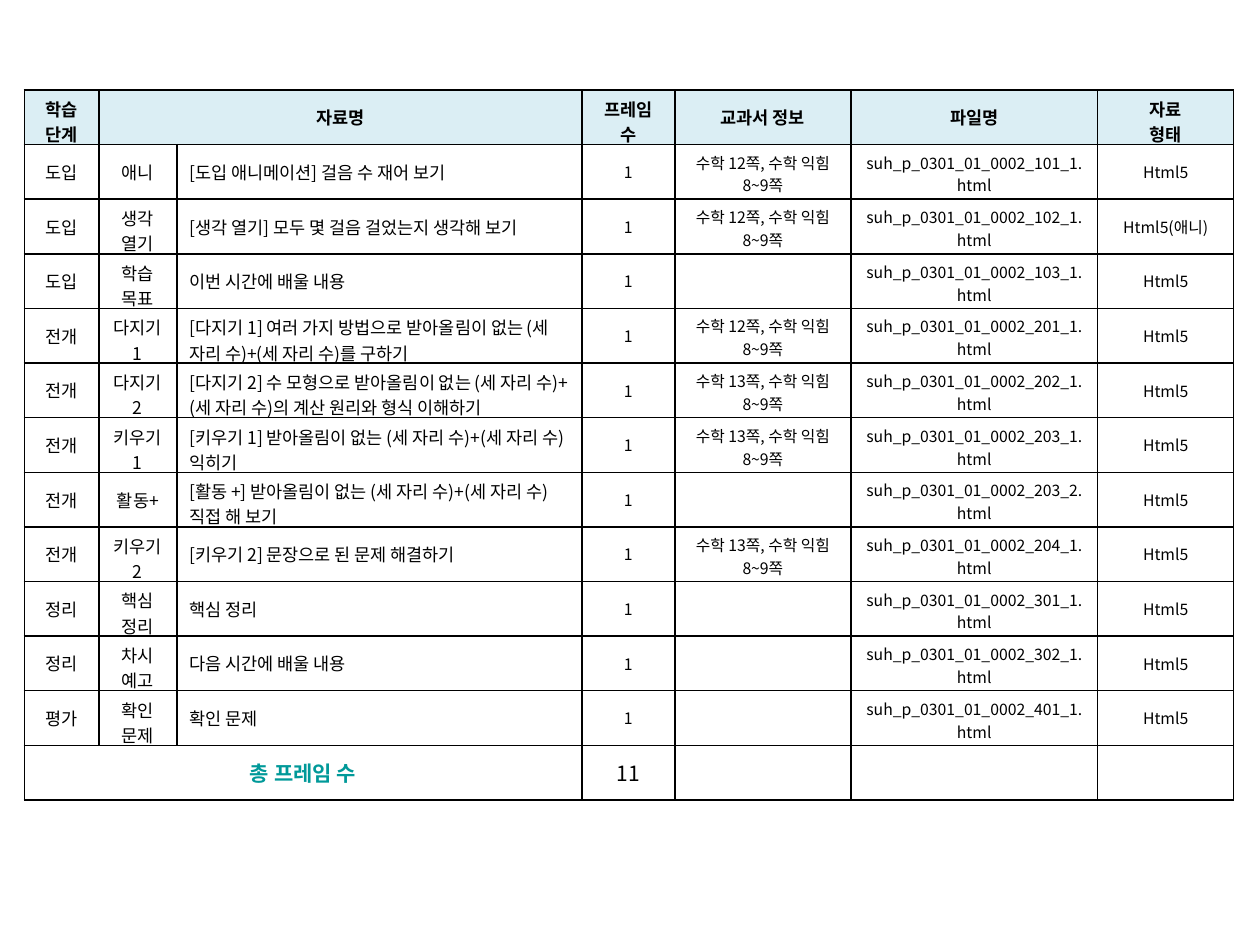
from lxml import etree
from pptx import Presentation
from pptx.dml.color import RGBColor
from pptx.enum.text import MSO_ANCHOR, PP_ALIGN
from pptx.oxml.ns import qn
from pptx.util import Pt

LEFT, CENTER = PP_ALIGN.LEFT, PP_ALIGN.CENTER
TOP, MIDDLE = MSO_ANCHOR.TOP, MSO_ANCHOR.MIDDLE
FONT = "Noto Sans CJK KR"
COLORS = {"ink": "000000", "header": "DBEEF4", "total": "009999"}

COLUMN_WIDTHS = [42.6, 44.6, 231.4, 53.2, 100.6, 141, 77.8]
COLUMN_SIZES = [10, 10, 10, 9, 9, 9, 9]
# Longest text that stays on one line in each column
LINE_LIMITS = [3, 3, 32, 4, 10, 10, 10]
ROW_HEIGHT = 31.23
NAME_COLUMN = 2

HEADERS = ["학습 단계", "자료명", "", "프레임 수", "교과서 정보", "파일명", "자료\n형태"]
# Stage, activity, material name, textbook page, file number, format
MATERIALS = [
    ("도입", "애니", "[도입 애니메이션] 걸음 수 재어 보기", 12, "101_1", "Html5"),
    ("도입", "생각 열기", "[생각 열기] 모두 몇 걸음 걸었는지 생각해 보기", 12, "102_1", "Html5(애니)"),
    ("도입", "학습 목표", "이번 시간에 배울 내용", None, "103_1", "Html5"),
    ("전개", "다지기 1", "[다지기 1] 여러 가지 방법으로 받아올림이 없는 (세 자리 수)+(세 자리 수)를 구하기",
     12, "201_1", "Html5"),
    ("전개", "다지기 2", "[다지기 2] 수 모형으로 받아올림이 없는 (세 자리 수)+(세 자리 수)의 계산 원리와 형식 이해하기",
     13, "202_1", "Html5"),
    ("전개", "키우기1", "[키우기 1] 받아올림이 없는 (세 자리 수)+(세 자리 수) 익히기", 13, "203_1", "Html5"),
    ("전개", "활동+", "[활동 +] 받아올림이 없는 (세 자리 수)+(세 자리 수) 직접 해 보기", None, "203_2", "Html5"),
    ("전개", "키우기2", "[키우기 2] 문장으로 된 문제 해결하기", 13, "204_1", "Html5"),
    ("정리", "핵심 정리", "핵심 정리", None, "301_1", "Html5"),
    ("정리", "차시 예고", "다음 시간에 배울 내용", None, "302_1", "Html5"),
    ("평가", "확인 문제", "확인 문제", None, "401_1", "Html5"),
]


def write_text(frame, text, size=10, color="ink", bold=False, align=CENTER):
    for index, line in enumerate(text.split("\n")):
        para = frame.add_paragraph() if index else frame.paragraphs[0]
        para.alignment = align
        span = para.add_run()
        span.text = line
        span.font.size = Pt(size)
        span.font.bold = bold
        span.font.name = FONT
        span.font.color.rgb = RGBColor.from_string(COLORS[color])
        properties = span.font._element
        properties.set("kern", "0")
        etree.SubElement(properties, qn("a:ea")).set("typeface", FONT)


class SlideBuilder:
    def __init__(self, slide):
        self.slide = slide

    def table(self, left, top, widths, row_count, row_height):
        shape = self.slide.shapes.add_table(
            row_count, len(widths), Pt(left), Pt(top),
            Pt(sum(widths)), Pt(row_count * row_height))
        table = shape.table
        table.first_row = table.horz_banding = False
        for column, width in zip(table.columns, widths):
            column.width = Pt(width)
        for row in table.rows:
            row.height = Pt(row_height)
        return table

    def cell(self, cell, text, fill=None, two_lines=False, **style):
        # Two lines hang from the top inset and may run past the bottom one
        cell.vertical_anchor = TOP if two_lines else MIDDLE
        cell.margin_top = Pt(3.6)
        cell.margin_bottom = Pt(-2 if two_lines else 3.6)
        write_text(cell.text_frame, text, **style)
        self.borders(cell)
        if fill:
            cell.fill.solid()
            cell.fill.fore_color.rgb = RGBColor.from_string(COLORS[fill])
        else:
            cell.fill.background()

    def borders(self, cell, width=1):
        properties = cell._tc.get_or_add_tcPr()
        for side in ("a:lnL", "a:lnR", "a:lnT", "a:lnB"):
            line = etree.SubElement(properties, qn(side), w=str(Pt(width)))
            solid = etree.SubElement(line, qn("a:solidFill"))
            etree.SubElement(solid, qn("a:srgbClr"), val=COLORS["ink"])


def is_two_lines(text, column):
    return "\n" in text or len(text) > LINE_LIMITS[column]


def main():
    deck = Presentation()
    deck.slide_width, deck.slide_height = Pt(720), Pt(540)
    page = SlideBuilder(deck.slides.add_slide(deck.slide_layouts[6]))
    table = page.table(13.9, 51.4, COLUMN_WIDTHS, len(MATERIALS) + 2, ROW_HEIGHT)
    last = len(MATERIALS) + 1

    # Header row
    for column, label in enumerate(HEADERS):
        page.cell(table.cell(0, column), label, fill="header", bold=True,
                  two_lines=is_two_lines(label, column))
    table.cell(0, 1).merge(table.cell(0, NAME_COLUMN))

    # One row per material
    for row, (stage, activity, name, textbook, number, kind) in enumerate(MATERIALS, 1):
        pages = f"수학 {textbook}쪽, 수학 익힘 8~9쪽" if textbook else ""
        file_name = f"suh_p_0301_01_0002_{number}.html"
        values = [stage, activity, name, "1", pages, file_name, kind]
        for column, (value, size) in enumerate(zip(values, COLUMN_SIZES)):
            page.cell(table.cell(row, column), value, size=size,
                      two_lines=is_two_lines(value, column),
                      align=LEFT if column == NAME_COLUMN else CENTER)

    # Total row
    page.cell(table.cell(last, 0), "총 프레임 수", size=12, color="total", bold=True)
    page.cell(table.cell(last, 3), str(len(MATERIALS)), size=12)
    for column in (1, 2, 4, 5, 6):
        page.cell(table.cell(last, column), "", size=9)
    table.cell(last, 0).merge(table.cell(last, NAME_COLUMN))

    deck.save("out.pptx")


if __name__ == "__main__":
    main()
